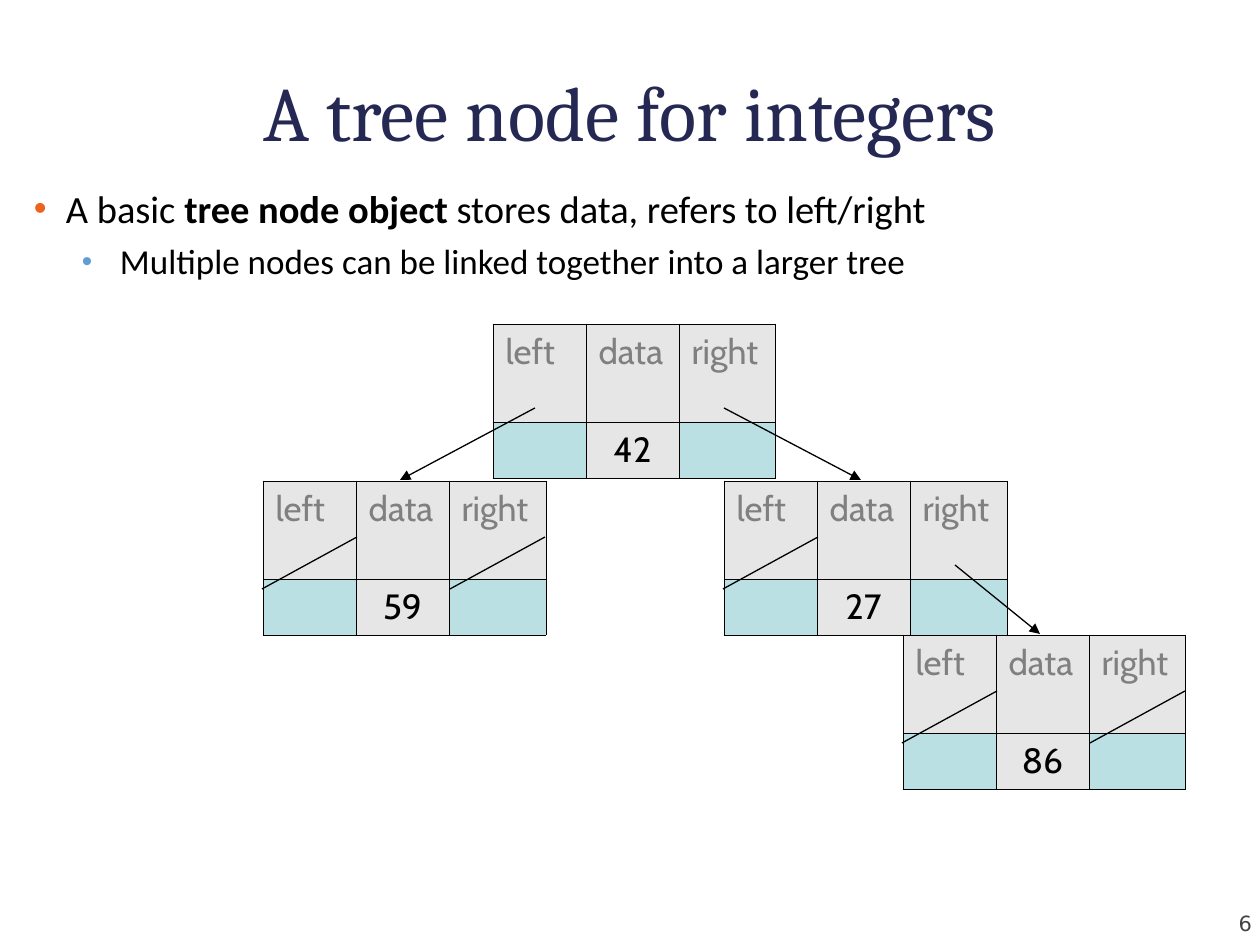
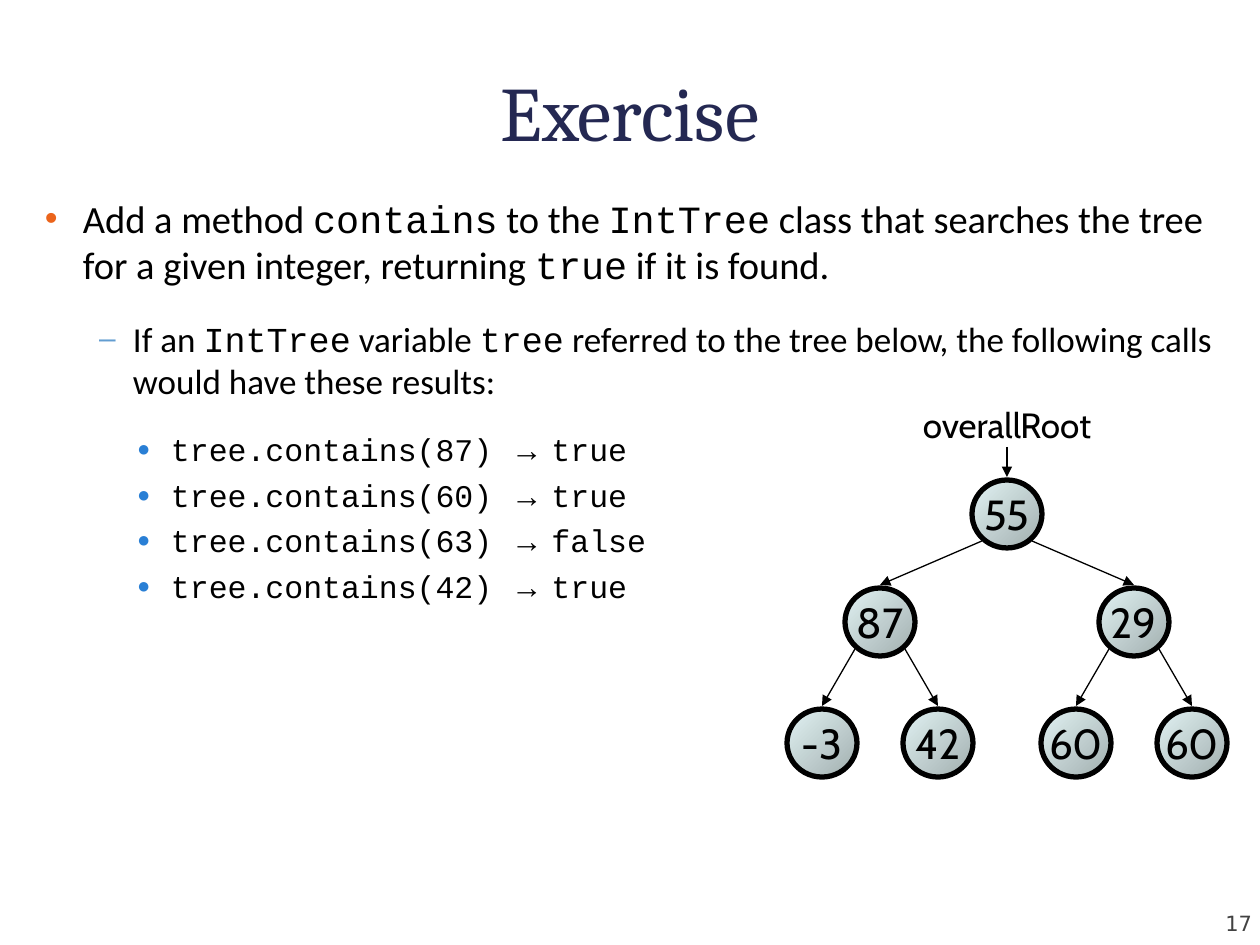
import lxml.etree
import pptx
import pptx.dml.color
import pptx.enum.shapes
import pptx.enum.text
import pptx.oxml
import pptx.oxml.ns
import pptx.util

SCALE = 914400 / 126
SLIDE_SIZE = 1260, 945
BLACK, NAVY, GREY, DARK_GREY = "000000", "242852", "808080", "424242"
ORANGE, SKY, BLUE = "EB641B", "629DD1", "297FD5"
FIELD_FILL, POINTER_FILL = "E6E6E6", "BBE0E3"
CIRCLE_LIGHT, CIRCLE_DARK = "E1F2F3", "A2AFAF"
BODY_FONT, TITLE_FONT, TREE_FONT = "Calibri", "Cambria", "Cabin"
CODE = {"font": "Courier New"}
ARROW = {"font": "Arial"}
BOLD = {"bold": True}
ALIGN = pptx.enum.text.PP_ALIGN
ANCHOR = pptx.enum.text.MSO_ANCHOR
SHAPE = pptx.enum.shapes.MSO_SHAPE

TITLE_BOX = 63, 60, 1134, 97
NUMBER_BOX = 1148, 886, 104, 50
COLUMNS, ROWS = (93, 93, 97), (98, 56)
POINTERS = {"left": (42, 84), "right": (231, 84)}
SLASH_LEFT = {"left": -1, "right": 187}
NODE_TOP = 137, -1
CIRCLE_SIZE = 70, 68
CIRCLE_TOP = 37


def px(length):
    """Turn pixels into EMU."""
    return pptx.util.Emu(round(length * SCALE))


def box_emu(box):
    """Turn a pixel box into EMU lengths."""
    return [px(length) for length in box]


def rgb(value):
    """Turn a hex string into a colour."""
    return pptx.dml.color.RGBColor.from_string(value)


def add_child(parent, tag, **attributes):
    """Append a DrawingML element."""
    child = lxml.etree.SubElement(parent, pptx.oxml.ns.qn(tag))
    for key, value in attributes.items():
        child.set(key, str(value))
    return child


def set_bullet(paragraph, symbol, color, percent, indent, hang):
    """Give a paragraph a coloured bullet with a hanging indent."""
    properties = paragraph._p.get_or_add_pPr()
    properties.set("marL", str(px(indent)))
    properties.set("indent", str(px(-hang)))
    add_child(add_child(properties, "a:buClr"), "a:srgbClr", val=color)
    add_child(properties, "a:buSzPct", val=percent * 1000)
    add_child(properties, "a:buFont", typeface="Arial")
    add_child(properties, "a:buChar", char=symbol)


def write(frame, runs, size, font=BODY_FONT, color=BLACK, align=ALIGN.LEFT,
          before=0, level=0, bullet=None):
    """Write one paragraph; runs is a string or (text, overrides) pairs."""
    first = frame.paragraphs[0]
    paragraph = frame.add_paragraph() if first.runs else first
    paragraph.alignment = align
    paragraph.level = level
    if bullet:
        set_bullet(paragraph, *bullet)
    if before:
        paragraph.space_before = pptx.util.Pt(before)
    for text, changes in [(runs, {})] if isinstance(runs, str) else runs:
        run = paragraph.add_run()
        run.text = text
        run.font.size = pptx.util.Pt(size)
        run.font.name = changes.get("font", font)
        run.font.bold = changes.get("bold", False)
        run.font.color.rgb = rgb(color)


def add_frame(shapes, box, anchor=ANCHOR.TOP, insets=(13, 6, 13, 6), wrap=True):
    """Add an empty text box and return its frame."""
    frame = shapes.add_textbox(*box_emu(box)).text_frame
    frame.word_wrap = wrap
    frame.vertical_anchor = anchor
    (frame.margin_left, frame.margin_top,
     frame.margin_right, frame.margin_bottom) = box_emu(insets)
    return frame


def add_line(shapes, start, end, arrow=True):
    """Draw a thin black line, with an arrowhead at its end if wanted."""
    line = shapes.add_connector(pptx.enum.shapes.MSO_CONNECTOR.STRAIGHT,
                                *box_emu((*start, *end)))
    line.line.color.rgb = rgb(BLACK)
    line.line.width = pptx.util.Pt(0.75)
    if arrow:
        add_child(line.line._get_or_add_ln(), "a:tailEnd", type="triangle")
    add_child(line._element.spPr, "a:effectLst")


def add_page(deck, title, number):
    """Add a slide with the shared title and page number."""
    slide = deck.slides.add_slide(deck.slide_layouts[6])
    write(add_frame(slide.shapes, TITLE_BOX, ANCHOR.BOTTOM, (0, 6, 0, 0)), title,
          size=44, font=TITLE_FONT, color=NAVY, align=ALIGN.CENTER)
    write(add_frame(slide.shapes, NUMBER_BOX, ANCHOR.BOTTOM, (0, 0, 0, 0)), number,
          size=12, font="DejaVu Sans", color=DARK_GREY, align=ALIGN.RIGHT)
    return slide.shapes


def set_borders(cell, row, column):
    """Draw cell borders, heavier on the outside of the node."""
    outer = {"a:lnL": column == 0, "a:lnR": column == len(COLUMNS) - 1,
             "a:lnT": row == 0, "a:lnB": row == len(ROWS) - 1}
    properties = cell._tc.get_or_add_tcPr()
    for position, (tag, is_outer) in enumerate(outer.items()):
        border = add_child(properties, tag, w=pptx.util.Pt(0.5 if is_outer else 0.23))
        add_child(add_child(border, "a:solidFill"), "a:srgbClr", val=BLACK)
        properties.insert(position, border)


def add_node_table(shapes, left, top, value, empty=()):
    """Draw a left/data/right node and strike out its empty pointers."""
    box = left, top, sum(COLUMNS), sum(ROWS)
    node = shapes.add_table(len(ROWS), len(COLUMNS), *box_emu(box)).table
    node.first_row = node.horz_banding = False
    for column, width in zip(node.columns, COLUMNS):
        column.width = px(width)
    for row, height in zip(node.rows, ROWS):
        row.height = px(height)
    for r, texts in enumerate([("left", "data", "right"), ("", value, "")]):
        for c, text in enumerate(texts):
            cell = node.cell(r, c)
            cell.fill.solid()
            cell.fill.fore_color.rgb = rgb(FIELD_FILL if text else POINTER_FILL)
            set_borders(cell, r, c)
            if text:
                write(cell.text_frame, text, size=20, font=TREE_FONT,
                      color=BLACK if r else GREY,
                      align=ALIGN.CENTER if r else ALIGN.LEFT)
    for side in empty:
        slash = left + SLASH_LEFT[side]
        add_line(shapes, (slash + 95, top + 56), (slash, top + 108), arrow=False)


def add_linked_nodes(shapes, left, top):
    """Draw the four linked nodes from the top left of their area."""
    both = "left", "right"
    nodes = {"42": (230, 0, ()), "59": (0, 157, both),
             "27": (461, 157, ("left",)), "86": (640, 311, both)}
    links = [("42", "left", "59"), ("42", "right", "27"), ("27", "right", "86")]
    for value, (x, y, empty) in nodes.items():
        add_node_table(shapes, left + x, top + y, value, empty)
    for parent, side, child in links:
        start, end = [(left + nodes[value][0] + dx, top + nodes[value][1] + dy)
                      for value, (dx, dy) in ((parent, POINTERS[side]),
                                              (child, NODE_TOP))]
        add_line(shapes, start, end)


def add_circle(shapes, x, y, value):
    """Draw a round tree node centred on a point."""
    width, height = CIRCLE_SIZE
    circle = shapes.add_shape(
        SHAPE.OVAL, *box_emu((x - width / 2, y - height / 2, width, height)))
    circle.shadow.inherit = False
    circle.fill.gradient()
    circle.fill.gradient_angle = 315
    for stop, color in zip(circle.fill.gradient_stops, (CIRCLE_LIGHT, CIRCLE_DARK)):
        stop.color.rgb = rgb(color)
    circle.line.color.rgb = rgb(BLACK)
    circle.line.width = pptx.util.Pt(3)
    circle.text_frame.word_wrap = False
    circle.text_frame.vertical_anchor = ANCHOR.MIDDLE
    write(circle.text_frame, value, size=24, font=TREE_FONT, align=ALIGN.CENTER)


def add_subtree(shapes, x, y, tree, steps):
    """Draw a (value, left, right) tree whose levels are (spread, drop) apart."""
    value, *children = tree
    add_circle(shapes, x, y, value)
    for side, child in zip((-1, 1), children):
        spread, drop = steps[0]
        child_x, child_y = x + side * spread, y + drop
        add_line(shapes, (x + side * 25, y + 27), (child_x, child_y - CIRCLE_TOP))
        add_subtree(shapes, child_x, child_y, child, steps[1:])


def add_search_tree(shapes, left, top):
    """Draw the labelled tree from the top left of its area."""
    group = shapes.add_group_shape().shapes
    root_x, root_y = left + 220, top + 117
    tree = ("55", ("87", ("-3",), ("42",)), ("29", ("60",), ("60",)))
    add_subtree(group, root_x, root_y, tree, [(127, 108), (58, 121)])
    label = add_frame(group, (root_x - 106, top, 212, 55), wrap=False)
    write(label, "overallRoot", size=20, font=TREE_FONT, align=ALIGN.CENTER)
    add_line(group, (root_x, top + 50), (root_x, root_y - CIRCLE_TOP))


def add_tree_node_slide(deck):
    """Build the slide that introduces the tree node."""
    shapes = add_page(deck, "A tree node for integers", "6")
    body = add_frame(shapes, (21, 179, 1239, 714))
    write(body, [("A basic ", {}), ("tree node object", BOLD),
                 (" stores data, refers to left/right", {})],
          size=22, bullet=("•", ORANGE, 95, 32, 32))
    write(body, "Multiple nodes can be linked together into a larger tree",
          size=20, before=5, level=1, bullet=("•", SKY, 85, 86, 38))
    add_linked_nodes(shapes, 263, 324)


def add_exercise_slide(deck):
    """Build the exercise slide."""
    shapes = add_page(deck, "Exercise", "17")
    body = add_frame(shapes, (32, 189, 1228, 714))
    write(body, [("Add a method ", {}), ("contains", CODE), (" to the ", {}),
                 ("IntTree", CODE),
                 (" class that searches the tree for a given integer, returning ", {}),
                 ("true", CODE), (" if it is found.", {})],
          size=22, bullet=("•", ORANGE, 95, 38, 38))
    write(body, [("If an ", {}), ("IntTree", CODE), (" variable ", {}), ("tree", CODE),
                 (" referred to the tree below, the following calls"
                  " would have these results:", {})],
          size=20, before=17, level=1, bullet=("–", SKY, 85, 88, 34))
    results = {87: "true", 60: "true", 63: "false", 42: "true"}
    for position, (value, result) in enumerate(results.items()):
        write(body, [(f"tree.contains({value}) ", CODE), ("→ ", ARROW), (result, CODE)],
              size=18, before=4.5 if position else 16.5, level=2,
              bullet=("●", BLUE, 70, 126, 34))
    add_search_tree(shapes, 787, 397)


def main():
    """Build and save the deck."""
    deck = pptx.Presentation()
    deck.slide_width, deck.slide_height = box_emu(SLIDE_SIZE)
    add_tree_node_slide(deck)
    add_exercise_slide(deck)
    deck.save("out.pptx")


if __name__ == "__main__":
    main()
